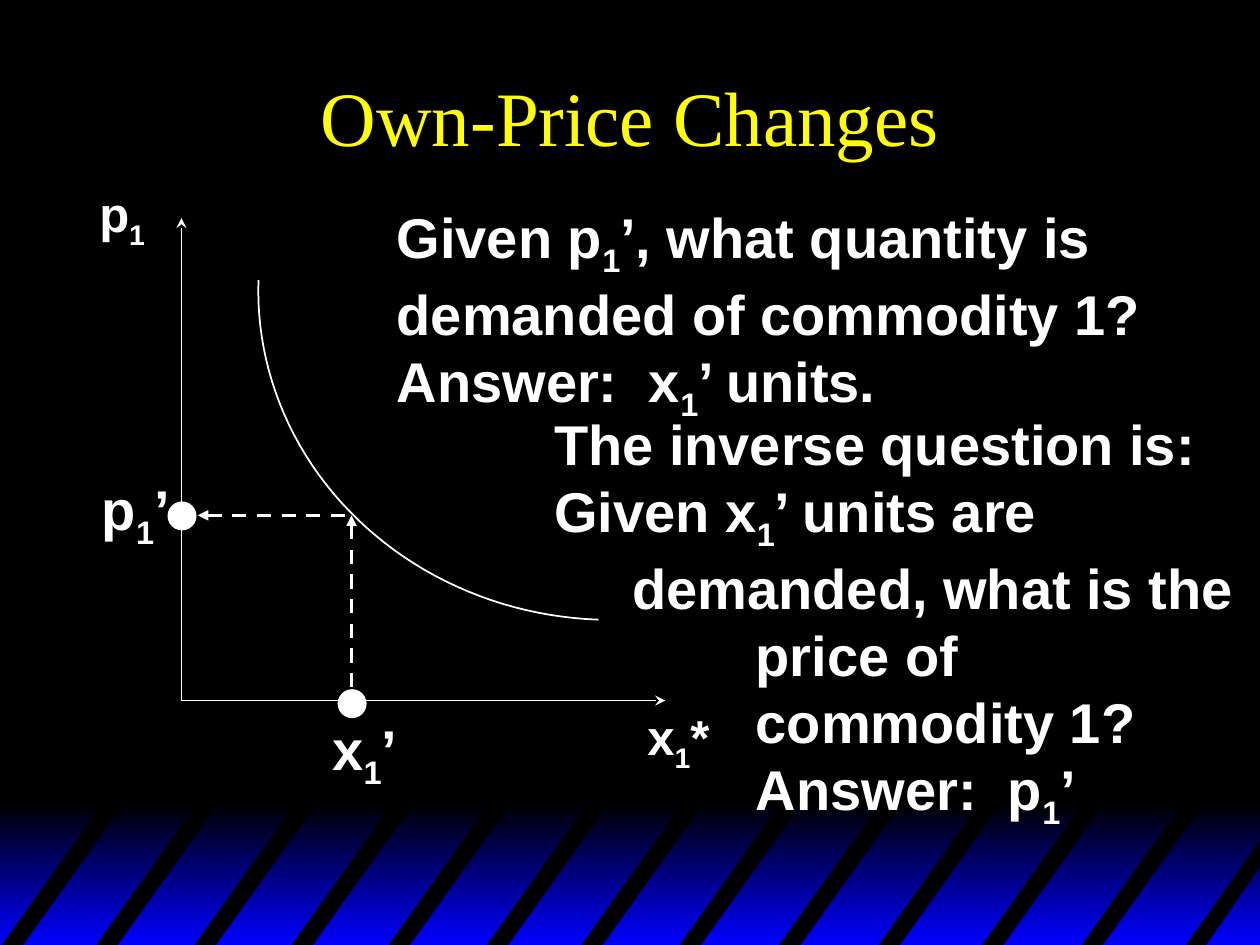
import math
from dataclasses import dataclass

from lxml import etree
from pptx import Presentation
from pptx.dml.color import RGBColor
from pptx.enum import dml, shapes, text
from pptx.oxml.ns import qn
from pptx.util import Inches, Pt

COLORS = {"black": "000000", "blue": "0000FF", "white": "FFFFFF", "yellow": "FFFF00"}
Point = tuple[float, float]


@dataclass
class Line:
    start: Point  # the arrowhead sits here
    end: Point
    width: float = 1
    head: str = "stealth"
    dashed: bool = False


@dataclass
class Label:
    """Text box; pieces between underscores are subscripts."""
    box: tuple[float, float, float, float]
    lines: list[str]
    size: int = 32
    indents: tuple[float, ...] = ()


def rgb(name: str) -> RGBColor:
    return RGBColor.from_string(COLORS[name])


def fill_plain(shape, color: str) -> None:
    shape.shadow.inherit = False
    shape.fill.solid()
    shape.fill.fore_color.rgb = rgb(color)
    shape.line.fill.background()


def draw_outline(slide, points: list[Point], close: bool):
    vertices = [(Inches(x), Inches(y)) for x, y in points]
    builder = slide.shapes.build_freeform(*vertices[0])
    builder.add_line_segments(vertices[1:], close=close)
    shape = builder.convert_to_shape()
    shape.shadow.inherit = False
    return shape


def draw_line(slide, line: Line) -> None:
    connector = slide.shapes.add_connector(
        shapes.MSO_CONNECTOR.STRAIGHT, *map(Inches, line.start + line.end))
    connector.line.color.rgb = rgb("white")
    connector.line.width = Pt(line.width)
    if line.dashed:
        connector.line.dash_style = dml.MSO_LINE.DASH
    properties = connector._element.spPr
    etree.SubElement(properties.find(qn("a:ln")), qn("a:headEnd"), type=line.head)
    etree.SubElement(properties, qn("a:effectLst"))


def draw_dot(slide, left: float, top: float, diameter: float = 0.23) -> None:
    dot = slide.shapes.add_shape(
        shapes.MSO_SHAPE.OVAL, *map(Inches, (left, top, diameter, diameter)))
    fill_plain(dot, "white")


def draw_label(slide, label: Label) -> None:
    frame = slide.shapes.add_textbox(*map(Inches, label.box)).text_frame
    frame.word_wrap = False
    frame.auto_size = text.MSO_AUTO_SIZE.SHAPE_TO_FIT_TEXT
    for index, line in enumerate(label.lines):
        paragraph = frame.add_paragraph() if index else frame.paragraphs[0]
        if label.indents and label.indents[index]:
            properties = paragraph._p.get_or_add_pPr()
            properties.set("marL", str(Inches(label.indents[index])))
            properties.set("indent", "0")
        for position, piece in enumerate(line.split("_")):
            run = paragraph.add_run()
            run.text = piece
            run.font.name = "Arial"
            run.font.size = Pt(label.size)
            run.font.bold = True
            run.font.color.rgb = rgb("white")
            if position % 2:
                run.font._element.set("baseline", "-25000")


def draw_backdrop(slide) -> None:
    slide.background.fill.solid()
    slide.background.fill.fore_color.rgb = rgb("black")
    band = slide.shapes.add_shape(
        shapes.MSO_SHAPE.RECTANGLE, *map(Inches, (0, 6.38, 10.02, 1.12)))
    fill_plain(band, "blue")
    band.fill.gradient()
    band.fill.gradient_angle = 270
    for stop, color, place in zip(band.fill.gradient_stops, ("black", "blue"), (0, 1)):
        stop.color.rgb = rgb(color)
        stop.position = place

    # Slanted stripes, the last one cut at the right edge
    top, bottom, slant, width = 6.34, 7.52, 0.84, 0.17
    lefts = (0, 0.75, 1.53, 2.3, 3.07, 3.85, 4.6, 5.38, 6.17, 6.96, 7.78, 8.57)
    stripes = [[(x, bottom), (x + slant, top), (x + slant + width, top), (x + width, bottom)]
               for x in lefts]
    stripes.append([(9.4, bottom), (10.02, 6.64), (10.02, 6.85), (9.56, bottom)])
    for stripe in stripes:
        fill_plain(draw_outline(slide, stripe, close=True), "black")


def draw_title(slide, wording: str) -> None:
    title = slide.shapes.title
    title.left, title.top, title.width, title.height = map(Inches, (0.75, 0.25, 8.5, 1.33))
    title.text_frame.vertical_anchor = text.MSO_ANCHOR.MIDDLE
    paragraph = title.text_frame.paragraphs[0]
    paragraph.alignment = text.PP_ALIGN.CENTER
    run = paragraph.add_run()
    run.text = wording
    run.font.name = "Times New Roman"
    run.font.size = Pt(44)
    run.font.color.rgb = rgb("yellow")


def draw_demand_curve(slide) -> None:
    """Quarter of an ellipse, tilted by two degrees."""
    center_x, center_y, radius_x, radius_y = 4.84, 2.32, 2.79, 2.6
    tilt, steps = math.radians(2), 45
    points = []
    for step in range(steps + 1):
        angle = math.pi / 2 * (1 + step / steps)
        x, y = radius_x * math.cos(angle), radius_y * math.sin(angle)
        points.append((center_x + x * math.cos(tilt) - y * math.sin(tilt),
                       center_y + x * math.sin(tilt) + y * math.cos(tilt)))
    curve = draw_outline(slide, points, close=False)
    curve.fill.background()
    curve.line.color.rgb = rgb("white")
    curve.line.width = Pt(1)


LINES = [
    Line((1.44, 1.73), (1.44, 5.56)),
    Line((5.28, 5.56), (1.44, 5.56)),
    Line((1.57, 4.09), (2.81, 4.09), 2, "triangle", True),
    Line((2.79, 4.09), (2.79, 5.57), 2, "triangle", True),
]
LABELS = [
    Label((0.69, 1.41, 0.56, 0.63), ["p_1"], 28),
    Label((5.04, 5.56, 0.69, 0.63), ["x_1_*"], 28),
    Label((0.71, 3.72, 0.74, 0.71), ["p_1_’"]),
    Label((2.54, 5.62, 0.72, 0.71), ["x_1_’"]),
    Label((3.05, 1.56, 6.11, 1.85),
          ["Given p_1_’, what quantity is", "demanded of commodity 1?",
           "Answer:  x_1_’ units."]),
    Label((4.3, 3.2, 5.59, 3.45),
          ["The inverse question is:", "Given x_1_’ units are", "demanded, what is the",
           "price of", "commodity 1?", "Answer:  p_1_’"],
          indents=(0, 0, 0.62, 1.6, 1.6, 1.6)),
]


def main() -> None:
    presentation = Presentation()
    presentation.slide_width, presentation.slide_height = Inches(10), Inches(7.5)
    slide = presentation.slides.add_slide(presentation.slide_layouts[5])
    draw_backdrop(slide)
    draw_title(slide, "Own-Price Changes")

    # Axes, demand curve and dashed guides
    draw_demand_curve(slide)
    for line in LINES:
        draw_line(slide, line)

    # Labels, questions and marked points
    for label in LABELS:
        draw_label(slide, label)
    draw_dot(slide, 1.33, 3.98)
    draw_dot(slide, 2.68, 5.47)
    presentation.save("out.pptx")


if __name__ == "__main__":
    main()
